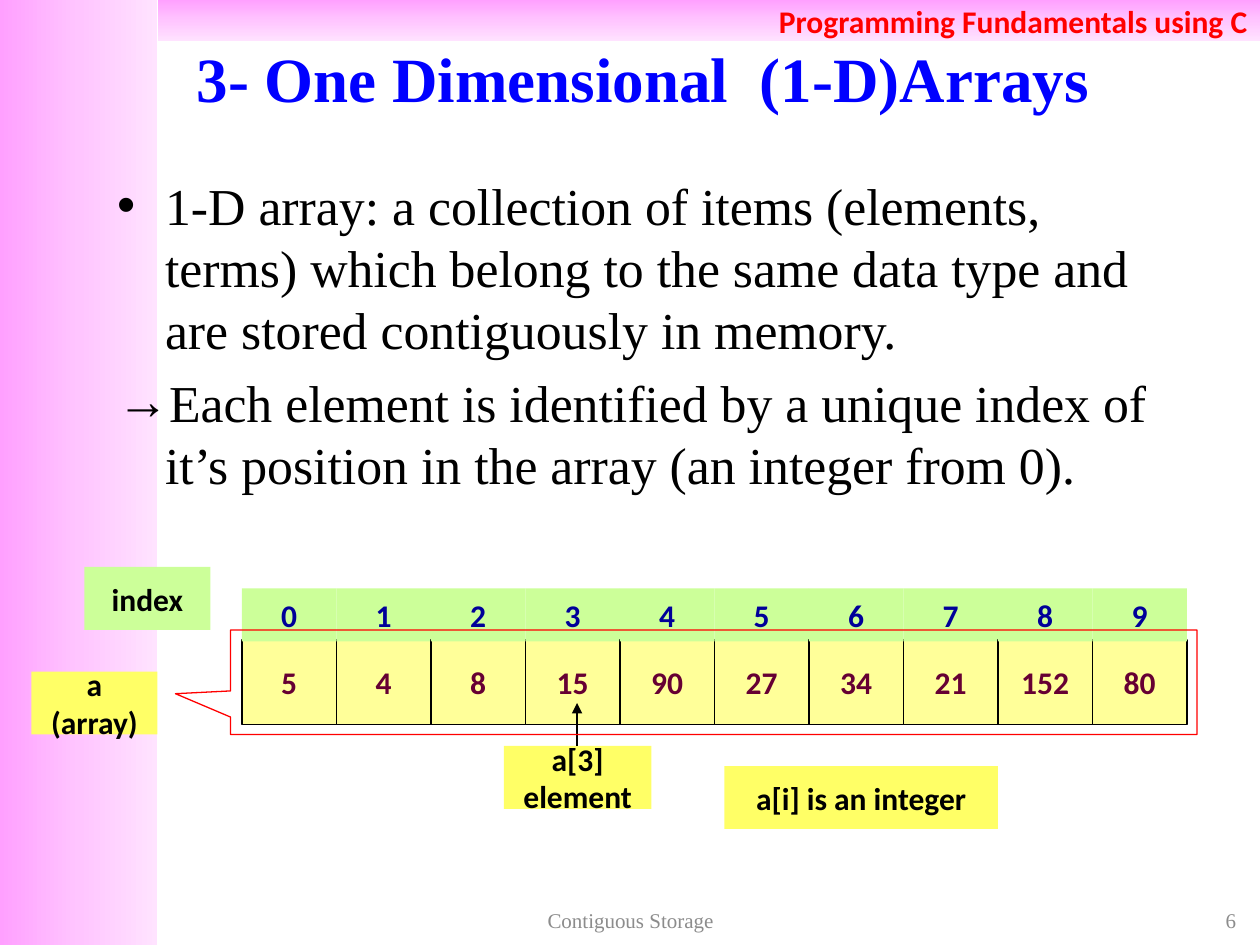
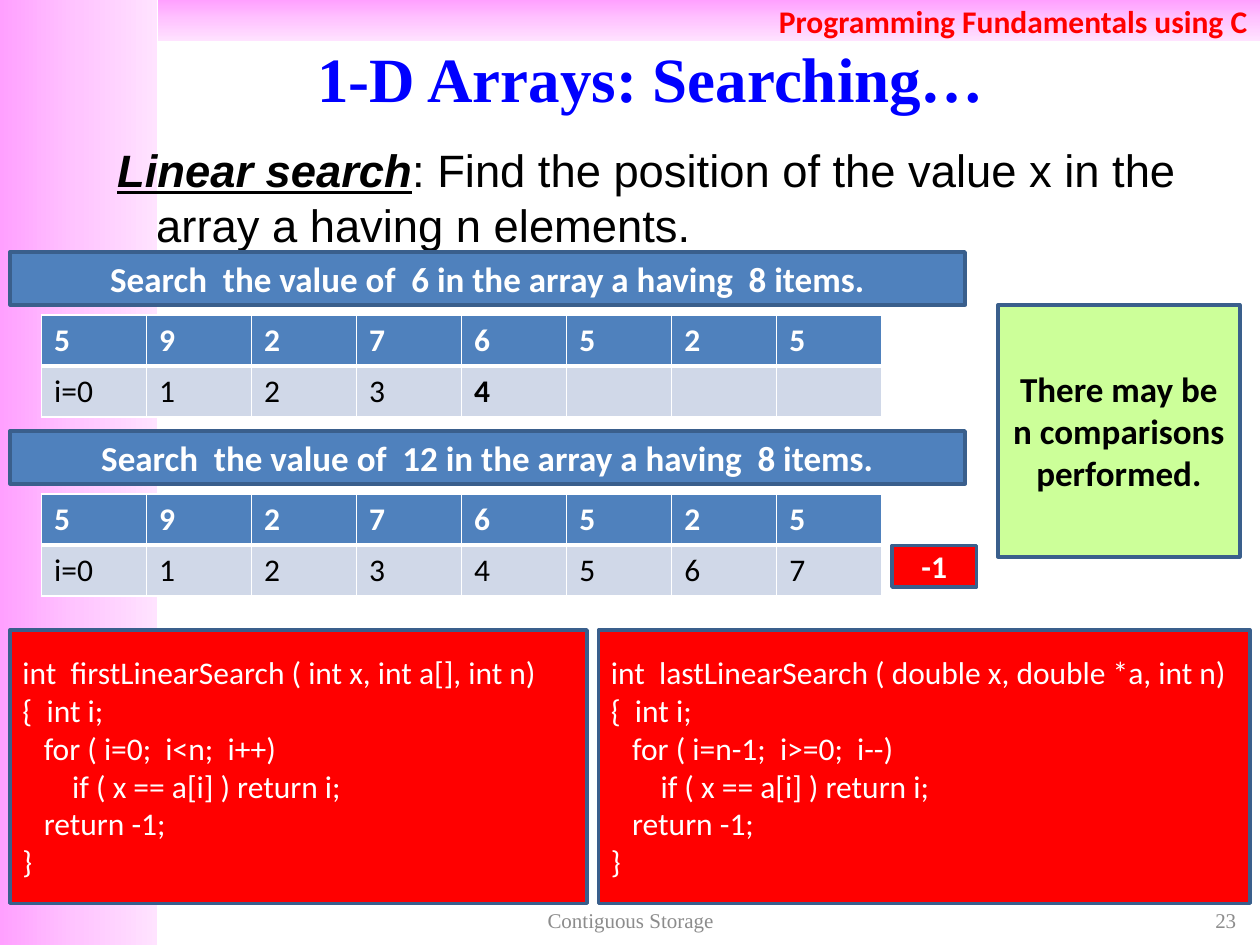
from copy import deepcopy

from lxml.etree import SubElement
from pptx import Presentation
from pptx.dml.color import RGBColor
from pptx.enum.shapes import MSO_CONNECTOR, MSO_SHAPE
from pptx.enum.text import MSO_ANCHOR, MSO_AUTO_SIZE, PP_ALIGN
from pptx.oxml.ns import qn
from pptx.util import Inches, Pt

COLORS = {
    "band_dark": "FFA0FF", "band_mid": "FFC5FF", "band_light": "FFE3FF",
    "title": "0000FF", "red": "FF0000", "black": "000000", "white": "FFFFFF",
    "footer": "8C8C8C", "value_fill": "FFFF99", "value_text": "660033",
    "index_fill": "CCFF99", "index_text": "000099", "label_fill": "FFFF66",
    "blue": "4F81BD", "outline": "3A5F8C", "row_fill": "D0D8E8",
}
SERIF = "Times New Roman"
CELL_WIDTH = 0.75
ARRAY_LEFT = 1.92
SEARCHED_ARRAY = ["5", "9", "2", "7", "6", "5", "2", "5"]
FUNCTION_CODE = [
    "int  {name} ( {parameters}, int n)",
    "{{  int i;",
    "   for ( {loop})",
    "       if ( x == a[i] ) return i;",
    "   return -1;",
    "}}",
]


def rgb(color):
    return RGBColor.from_string(COLORS[color])


def format_text(frame, size, color, font="Calibri", bold=False, align=PP_ALIGN.CENTER):
    for paragraph in frame.paragraphs:
        paragraph.alignment = align
        for run in paragraph.runs:
            run.font.name = font
            run.font.size = Pt(size)
            run.font.bold = bold
            run.font.color.rgb = rgb(color)


def place(shape, left, top, width, height):
    shape.left, shape.top = Inches(left), Inches(top)
    shape.width, shape.height = Inches(width), Inches(height)


def add_box(slide, at, fill=None, line=None, line_width=0.75, text="", size=18,
            color="black", bold=True, align=PP_ALIGN.CENTER, wrap=True,
            kind=MSO_SHAPE.RECTANGLE):
    box = slide.shapes.add_shape(kind, *map(Inches, at))
    box.shadow.inherit = False
    if fill:
        box.fill.solid()
        box.fill.fore_color.rgb = rgb(fill)
    else:
        box.fill.background()
    if line:
        box.line.color.rgb = rgb(line)
        box.line.width = Pt(line_width)
    else:
        box.line.fill.background()
    frame = box.text_frame
    frame.word_wrap = wrap
    frame.vertical_anchor = MSO_ANCHOR.MIDDLE
    if text:
        frame.text = text
        format_text(frame, size, color, bold=bold, align=align)
    return box


def add_label(slide, at, text, fill="label_fill", color="black", line=None):
    return add_box(slide, at, fill, line, text=text, color=color, wrap=False)


def add_panel(slide, at, fill, text, **options):
    return add_box(slide, at, fill, "outline", 2, text, **options)


def fill_gradient(band, angle):
    band.fill.gradient()
    band.fill.gradient_angle = angle
    stops = band.element.spPr.find(".//" + qn("a:gsLst"))
    stops.insert(1, deepcopy(stops[0]))
    shades = ["band_dark", "band_mid", "band_light"]
    for stop, position, shade in zip(band.fill.gradient_stops, (0, 0.5, 1), shades):
        stop.position = position
        stop.color.rgb = rgb(shade)


def add_master_bands(prs, slide):
    side = add_box(slide, (0, 0, 1.25, 7.5))
    fill_gradient(side, 0)
    header = add_box(slide, (1.25, 0, 8.75, 0.33), text="Programming Fundamentals using C",
                     color="red", align=PP_ALIGN.RIGHT)
    fill_gradient(header, 270)
    for order, band in enumerate((side, header)):
        band.element.nvSpPr.cNvPr.set("id", str(101 + order))
        prs.slide_master.shapes.element.insert(2 + order, band.element)


def add_footer(slide, at, text, align):
    footer = slide.shapes.add_textbox(*map(Inches, at)).text_frame
    footer.word_wrap = True
    footer.vertical_anchor = MSO_ANCHOR.MIDDLE
    footer.text = text
    format_text(footer, 12, "footer", SERIF, align=align)


def start_slide(prs, title, number):
    slide = prs.slides.add_slide(prs.slide_layouts[1])
    heading = slide.shapes.title
    place(heading, 0.83, 0.3, 8.67, 0.62)
    heading.text_frame.text = title
    heading.text_frame.auto_size = MSO_AUTO_SIZE.NONE
    heading.text_frame.vertical_anchor = MSO_ANCHOR.MIDDLE
    format_text(heading.text_frame, 36, "title", SERIF, bold=True)
    add_footer(slide, (7.58, 7.17, 2.33, 0.27), number, PP_ALIGN.RIGHT)
    add_footer(slide, (3.42, 7.17, 3.17, 0.27), "Contiguous Storage", PP_ALIGN.CENTER)
    return slide


def fill_body(slide, at, text, size, font, indent, bullets):
    body = slide.placeholders[1]
    place(body, *at)
    frame = body.text_frame
    frame.auto_size = MSO_AUTO_SIZE.NONE
    frame.text = text
    format_text(frame, size, "black", font, align=PP_ALIGN.LEFT)
    for paragraph, bullet in zip(frame.paragraphs, bullets):
        properties = paragraph._p.get_or_add_pPr()
        properties.set("marL", str(Inches(indent)))
        properties.set("indent", str(-Inches(indent)))
        if bullet:
            SubElement(properties, qn("a:buChar"), char=bullet)
        else:
            SubElement(properties, qn("a:buNone"))
    return frame


def add_arrow(slide, start, end):
    arrow = slide.shapes.add_connector(MSO_CONNECTOR.STRAIGHT, *map(Inches, start + end))
    arrow.line.color.rgb = rgb("black")
    arrow.line.width = Pt(0.75)
    SubElement(arrow.line._get_or_add_ln(), qn("a:tailEnd"), type="triangle")
    SubElement(arrow.element.spPr, qn("a:effectLst"))


def set_borders(cell, bottom_width):
    properties = cell._tc.get_or_add_tcPr()
    for side, width in (("L", 1), ("R", 1), ("T", 1), ("B", bottom_width)):
        border = SubElement(properties, qn("a:ln" + side), w=str(Pt(width)))
        SubElement(SubElement(border, qn("a:solidFill")), qn("a:srgbClr"), val=COLORS["white"])


def add_search_table(slide, top, steps, found=None):
    frame = slide.shapes.add_table(2, len(SEARCHED_ARRAY), Inches(0.33), Inches(top),
                                   Inches(6.67), Inches(0.81))
    table = frame.table
    rows = ((SEARCHED_ARRAY, "blue", "white", 3), (steps, "row_fill", "black", 1))
    for r, (values, fill, color, bottom_width) in enumerate(rows):
        for c, value in enumerate(values):
            cell = table.cell(r, c)
            set_borders(cell, bottom_width)
            cell.fill.solid()
            cell.fill.fore_color.rgb = rgb(fill)
            cell.text_frame.text = value
            format_text(cell.text_frame, 18, color, bold=r == 0 or c == found,
                        align=PP_ALIGN.LEFT)


def add_search(slide, top, target, steps, found=None):
    add_search_table(slide, top + 0.5, steps, found)
    add_panel(slide, (0.08, top, 7.58, 0.42), "blue", size=20, color="white",
              text=f"Search  the value of  {target} in the array a having  8 items.")


def add_code(slide, left, width, name, parameters, loop):
    code = "\n".join(FUNCTION_CODE).format(name=name, parameters=parameters, loop=loop)
    add_panel(slide, (left, 5, width, 2.17), "red", code, color="white", bold=False,
              align=PP_ALIGN.LEFT)


def build_definition(slide):
    fill_body(slide, (0.83, 1.33, 8.67, 2.92),
              "1-D array: a collection of items (elements, terms) which belong to the same "
              "data type and are stored contiguously in memory.\n"
              "Each element is identified by a unique index of it’s position in the array "
              "(an integer from 0). ",
              29.6, SERIF, 0.38, ["•", "→"])
    for index, value in enumerate([5, 4, 8, 15, 90, 27, 34, 21, 152, 80]):
        left = ARRAY_LEFT + index * CELL_WIDTH
        add_label(slide, (left, 5.08, CELL_WIDTH, 0.67), str(value),
                  "value_fill", "value_text", "black")
        add_label(slide, (left, 4.67, CELL_WIDTH, 0.42), str(index),
                  "index_fill", "index_text")
    add_label(slide, (0.25, 5.33, 1, 0.5), "a\n(array)")
    add_label(slide, (4, 5.92, 1.17, 0.5), "a[3]\nelement")
    add_arrow(slide, (4.58, 5.92), (4.58, 5.58))
    callout = add_box(slide, (1.83, 5, 7.67, 0.83), line="red",
                      kind=MSO_SHAPE.RECTANGULAR_CALLOUT)
    callout.adjustments[0] = -0.557
    callout.adjustments[1] = 0.11
    add_label(slide, (0.67, 4.5, 1, 0.5), "index", "index_fill")
    add_label(slide, (5.75, 6.08, 2.17, 0.5), "a[i] is an integer")


def build_searching(slide):
    term = "Linear search"
    body = fill_body(slide, (0.83, 1.08, 8.67, 0.83), term, 25.9, "Arial", 0.31, [None])
    definition = body.paragraphs[0]
    definition.level = 1
    explanation = definition.add_run()
    explanation.text = ": Find the position of the value x in the array a having n elements."
    format_text(body, 25.9, "black", "Arial", align=PP_ALIGN.LEFT)
    term_font = definition.runs[0].font
    term_font.bold = term_font.italic = term_font.underline = True

    steps = ["i=0"] + [str(i) for i in range(1, 8)]
    add_search(slide, 2, 6, steps[:5] + [""] * 3, found=4)
    add_search(slide, 3.42, 12, steps)
    add_panel(slide, (7.08, 4.33, 0.67, 0.33), "red", "-1", color="white")
    add_code(slide, 0.08, 4.58, "firstLinearSearch", "int x, int a[]", "i=0;  i<n;  i++")
    add_code(slide, 4.75, 5.17, "lastLinearSearch", "double x, double *a",
             "i=n-1;  i>=0;  i--")
    add_panel(slide, (7.92, 2.42, 1.92, 2), "index_fill",
              "There may be n comparisons performed.", size=20)


def main():
    prs = Presentation()
    prs.slide_width, prs.slide_height = Inches(10), Inches(7.5)
    definition = start_slide(prs, "3- One Dimensional  (1-D)Arrays ", "6")
    add_master_bands(prs, definition)
    build_definition(definition)
    build_searching(start_slide(prs, "1-D Arrays: Searching…", "23"))
    prs.save("out.pptx")


main()
